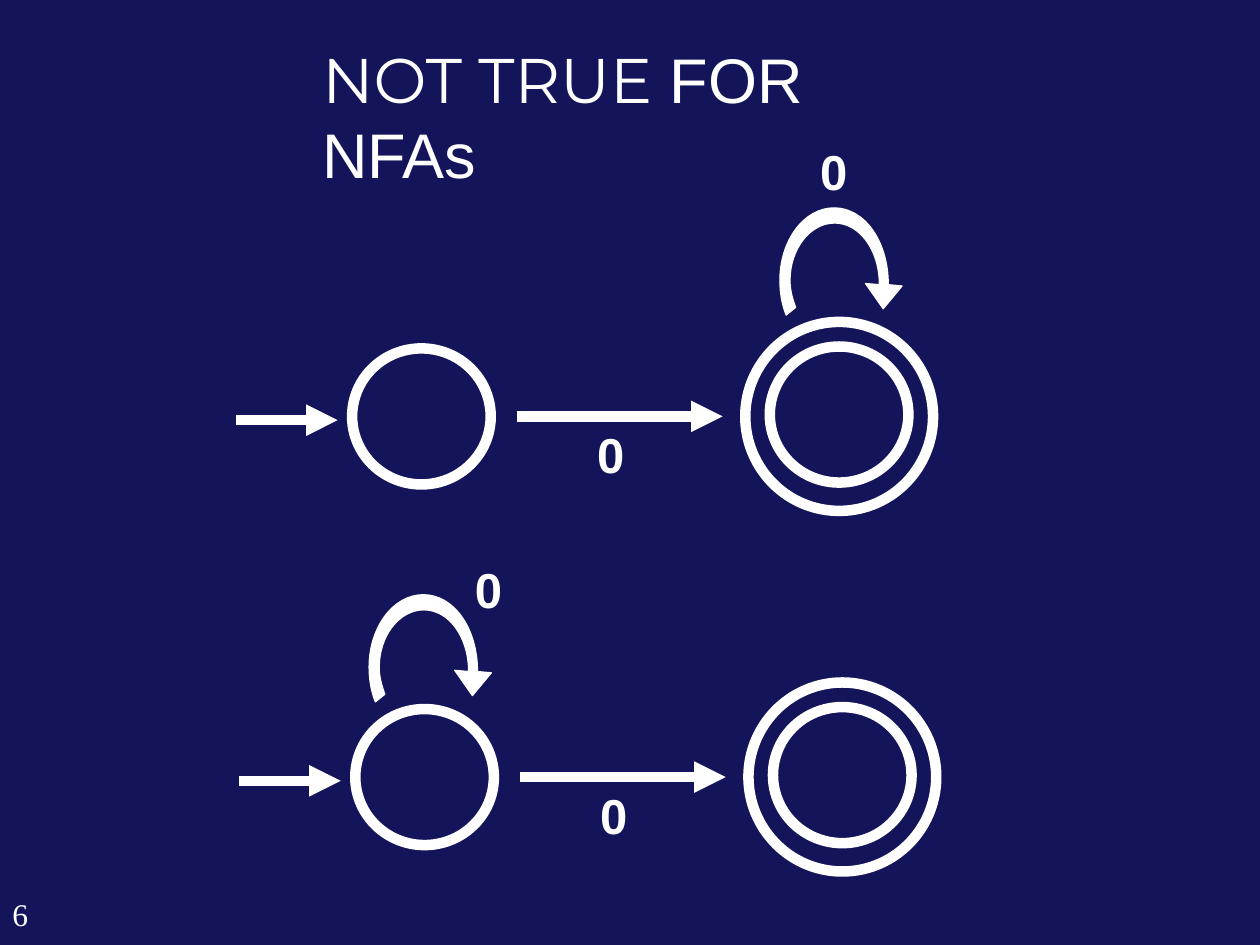
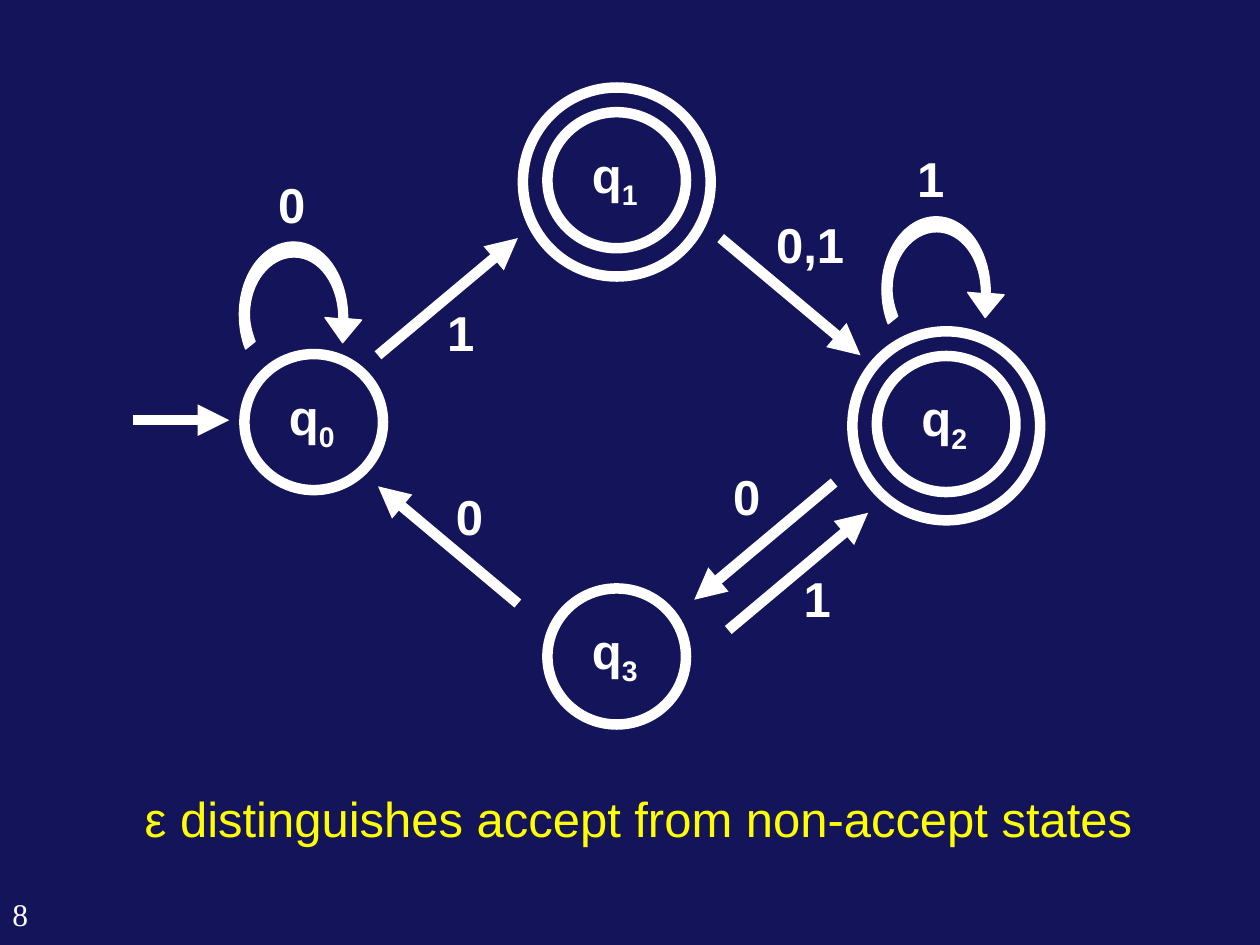
"""Build two slides of finite-automaton diagrams on a 100 by 75 grid."""
from dataclasses import dataclass
from typing import Optional

from lxml import etree
from pptx import Presentation
from pptx import util as u
from pptx.dml.color import RGBColor
from pptx.enum import shapes, text
from pptx.oxml.ns import qn

COLUMNS, ROWS = 100, 75
SLIDE_WIDTH, SLIDE_HEIGHT = u.Inches(10), u.Inches(7.5)

NAVY, WHITE, YELLOW = "14145A", "FFFFFF", "FFFF00"
SANS, TITLE_FONT, SERIF = "Arial", "Montserrat", "Times New Roman"
STROKE = 6
STATE_SIZE, ACCEPT_RING_SIZE = (11, 10.8), (14.9, 15)
NAME_OFFSET = (-2.95, -3.35)

LOOP_SIZE = (8.6, 11.5)
LOOP_UNITS = 100
LOOP_OUTLINE = [
    [(7.9, 6.1)],
    [(7.9, 3.3), (6.3, 1.2), (4.35, 1.2)],
    [(2.4, 1.2), (0.8, 3.25), (0.8, 5.75)],
    [(0.8, 6.45), (0.95, 7.1), (1.25, 7.9)],
    [(0.5, 8.5)],
    [(0.16, 7.66), (0, 6.71), (0, 5.75)],
    [(0, 2.57), (1.93, 0), (4.3, 0)],
    [(6.67, 0), (8.6, 2.57), (8.6, 6.1)],
    [(9.7, 6.2)],
    [(8.2, 8)],
    [(6.8, 6)],
]

Point = tuple[float, float]


@dataclass(frozen=True)
class State:
    """A state by its centre, with an optional index for its name."""
    centre: Point
    accepting: bool = False
    index: Optional[str] = None


@dataclass(frozen=True)
class Transition:
    """An arrow between two points."""
    start: Point
    end: Point


@dataclass(frozen=True)
class Symbol:
    """An input symbol by the top left corner of its box."""
    corner: Point
    wording: str
    width: float = 4.1


@dataclass(frozen=True)
class Style:
    """The look of a run of text."""
    size: float
    font: str = SANS
    colour: str = WHITE
    bold: bool = False


SYMBOL_STYLE = Style(28, bold=True)


@dataclass(frozen=True)
class Automaton:
    """The parts of one diagram; loops are given by their top left corner."""
    states: list[State]
    transitions: list[Transition]
    loops: list[Point]
    symbols: list[Symbol]


def rgb(colour: str) -> RGBColor:
    """Turn a hex string into a colour."""
    return RGBColor.from_string(colour)


def col(columns: float) -> int:
    """Turn grid columns into a length."""
    return round(SLIDE_WIDTH * columns / COLUMNS)


def row(rows: float) -> int:
    """Turn grid rows into a length."""
    return round(SLIDE_HEIGHT * rows / ROWS)


def shift(point: Point, offset: Point) -> Point:
    """Move a point by an offset."""
    return point[0] + offset[0], point[1] + offset[1]


def style_run(run, style: Style) -> None:
    """Apply a style to a run."""
    run.font.size = u.Pt(style.size)
    run.font.name = style.font
    run.font.bold = style.bold
    run.font.color.rgb = rgb(style.colour)


def add_text(slide, corner: Point, size: Point, wording: str, style: Style,
             wrap: bool = False, centred: bool = False):
    """Add one styled paragraph and return it."""
    box = slide.shapes.add_textbox(col(corner[0]), row(corner[1]),
                                   col(size[0]), row(size[1]))
    box.text_frame.word_wrap = wrap
    paragraph = box.text_frame.paragraphs[0]
    paragraph.text = wording
    if centred:
        paragraph.alignment = text.PP_ALIGN.CENTER
    style_run(paragraph.runs[0], style)
    return paragraph


def add_ring(slide, centre: Point, size: Point) -> None:
    """Draw an unfilled circle around a centre."""
    ring = slide.shapes.add_shape(
        shapes.MSO_SHAPE.OVAL, col(centre[0] - size[0] / 2),
        row(centre[1] - size[1] / 2), col(size[0]), row(size[1]))
    ring.shadow.inherit = False
    ring.fill.background()
    ring.line.color.rgb = rgb(WHITE)
    ring.line.width = u.Pt(STROKE)


def add_state(slide, state: State) -> None:
    """Draw a state with its accepting ring and name."""
    add_ring(slide, state.centre, STATE_SIZE)
    if state.accepting:
        add_ring(slide, shift(state.centre, (0, 0.15)), ACCEPT_RING_SIZE)
    if state.index:
        name = add_text(slide, shift(state.centre, NAME_OFFSET), (5.6, 6.3),
                        "q", SYMBOL_STYLE)
        index = name.add_run()
        index.text = state.index
        style_run(index, SYMBOL_STYLE)
        index.font._element.set("baseline", "-25000")


def add_transition(slide, transition: Transition) -> None:
    """Draw an arrow."""
    (x1, y1), (x2, y2) = transition.start, transition.end
    arrow = slide.shapes.add_connector(shapes.MSO_CONNECTOR.STRAIGHT,
                                       col(x1), row(y1), col(x2), row(y2))
    arrow.line.color.rgb = rgb(WHITE)
    arrow.line.width = u.Pt(STROKE)
    etree.SubElement(arrow.line._get_or_add_ln(), qn("a:tailEnd"), type="triangle")
    etree.SubElement(arrow._element.spPr, qn("a:effectLst"))


def bend_outline(loop) -> None:
    """Give a freeform the curved outline of a loop, measured in its own box."""
    outline = loop._element.find(".//" + qn("a:path"))
    for segment in list(outline):
        outline.remove(segment)
    outline.set("w", str(round(LOOP_SIZE[0] * LOOP_UNITS)))
    outline.set("h", str(round(LOOP_SIZE[1] * LOOP_UNITS)))
    for position, points in enumerate(LOOP_OUTLINE):
        straight = "a:lnTo" if position else "a:moveTo"
        tag = "a:cubicBezTo" if len(points) == 3 else straight
        segment = etree.SubElement(outline, qn(tag))
        for x, y in points:
            etree.SubElement(segment, qn("a:pt"), x=str(round(x * LOOP_UNITS)),
                             y=str(round(y * LOOP_UNITS)))
    etree.SubElement(outline, qn("a:close"))


def add_loop(slide, corner: Point) -> None:
    """Draw the bent arrow of a self-transition."""
    anchors = [shift(points[-1], corner) for points in LOOP_OUTLINE]
    vertices = [(col(x), row(y)) for x, y in anchors]
    builder = slide.shapes.build_freeform(*vertices[0])
    builder.add_line_segments(vertices[1:], close=True)
    loop = builder.convert_to_shape()
    loop.left, loop.top = col(corner[0]), row(corner[1])
    loop.width, loop.height = col(LOOP_SIZE[0]), row(LOOP_SIZE[1])
    bend_outline(loop)
    loop.shadow.inherit = False
    loop.fill.solid()
    loop.fill.fore_color.rgb = rgb(WHITE)
    loop.line.color.rgb = rgb(WHITE)
    loop.line.width = u.Pt(0.75)


def add_automaton(slide, automaton: Automaton) -> None:
    """Draw all parts of a diagram."""
    for state in automaton.states:
        add_state(slide, state)
    for transition in automaton.transitions:
        add_transition(slide, transition)
    for corner in automaton.loops:
        add_loop(slide, corner)
    for symbol in automaton.symbols:
        add_text(slide, symbol.corner, (symbol.width, 5.7), symbol.wording,
                 SYMBOL_STYLE, centred=True)


def two_state_automaton(offset: Point, loop: Point, loop_symbol: Point) -> Automaton:
    """Describe a two-state diagram moved by an offset."""
    return Automaton(
        states=[State(shift((33.45, 33.05), offset)),
                State(shift((66.6, 32.9), offset), accepting=True)],
        transitions=[Transition(shift((18.75, 33.35), offset), shift((26.8, 33.35), offset)),
                     Transition(shift((41, 33.05), offset), shift((57.35, 33.05), offset))],
        loops=[loop],
        symbols=[Symbol(shift((46.4, 33.2), offset), "0"), Symbol(loop_symbol, "0")])


TWO_STATE_AUTOMATA = [
    two_state_automaton((0, 0), (61.9, 16.5), (64.1, 10.75)),
    two_state_automaton((0.25, 28.62), (29.3, 47.2), (36.7, 43.9)),
]

FOUR_STATE_AUTOMATON = Automaton(
    states=[State((24.9, 33.5), index="0"),
            State((48.95, 14.3), accepting=True, index="1"),
            State((75.1, 33.65), accepting=True, index="2"),
            State((48.95, 52.1), index="3")],
    transitions=[Transition((10.55, 33.35), (18.2, 33.35)),
                 Transition((30, 28.2), (41.1, 18.9)),
                 Transition((57.2, 18.9), (68.3, 28.2)),
                 Transition((66.2, 38.3), (55.1, 47.6)),
                 Transition((57.8, 50), (68.9, 40.7)),
                 Transition((41.1, 47.9), (30, 38.6))],
    loops=[(19, 19.2), (70, 17.2)],
    symbols=[Symbol((21.1, 13.35), "0"), Symbol((34.5, 23.5), "1"),
             Symbol((60.6, 16.5), "0,1", 7.4), Symbol((71.8, 11.3), "1"),
             Symbol((57.2, 36.5), "0"), Symbol((62.8, 44.6), "1"),
             Symbol((35.2, 38.1), "0")])


def add_slide(deck, number: str, automata: list[Automaton]):
    """Add a slide with its page number and diagrams."""
    slide = deck.slides.add_slide(deck.slide_layouts[6])
    add_text(slide, (0, 70.5), (5.7, 4.5), number, Style(18, SERIF), wrap=True)
    for automaton in automata:
        add_automaton(slide, automaton)
    return slide


def main() -> None:
    """Build and save the deck."""
    deck = Presentation()
    deck.slide_width, deck.slide_height = SLIDE_WIDTH, SLIDE_HEIGHT
    backdrop = deck.slide_master.background.fill
    backdrop.solid()
    backdrop.fore_color.rgb = rgb(NAVY)

    nfa_slide = add_slide(deck, "6", TWO_STATE_AUTOMATA)
    title = add_text(nfa_slide, (24.6, 2.7), (51.9, 7), "NOT TRUE",
                     Style(36, TITLE_FONT), wrap=True)
    title_end = title.add_run()
    title_end.text = " FOR NFAs"
    style_run(title_end, Style(36))

    states_slide = add_slide(deck, "8", [FOUR_STATE_AUTOMATON])
    add_text(states_slide, (10.5, 62.1), (81.5, 5.7),
             "ε distinguishes accept from non-accept states",
             Style(28, colour=YELLOW), wrap=True)
    deck.save("out.pptx")


if __name__ == "__main__":
    main()
